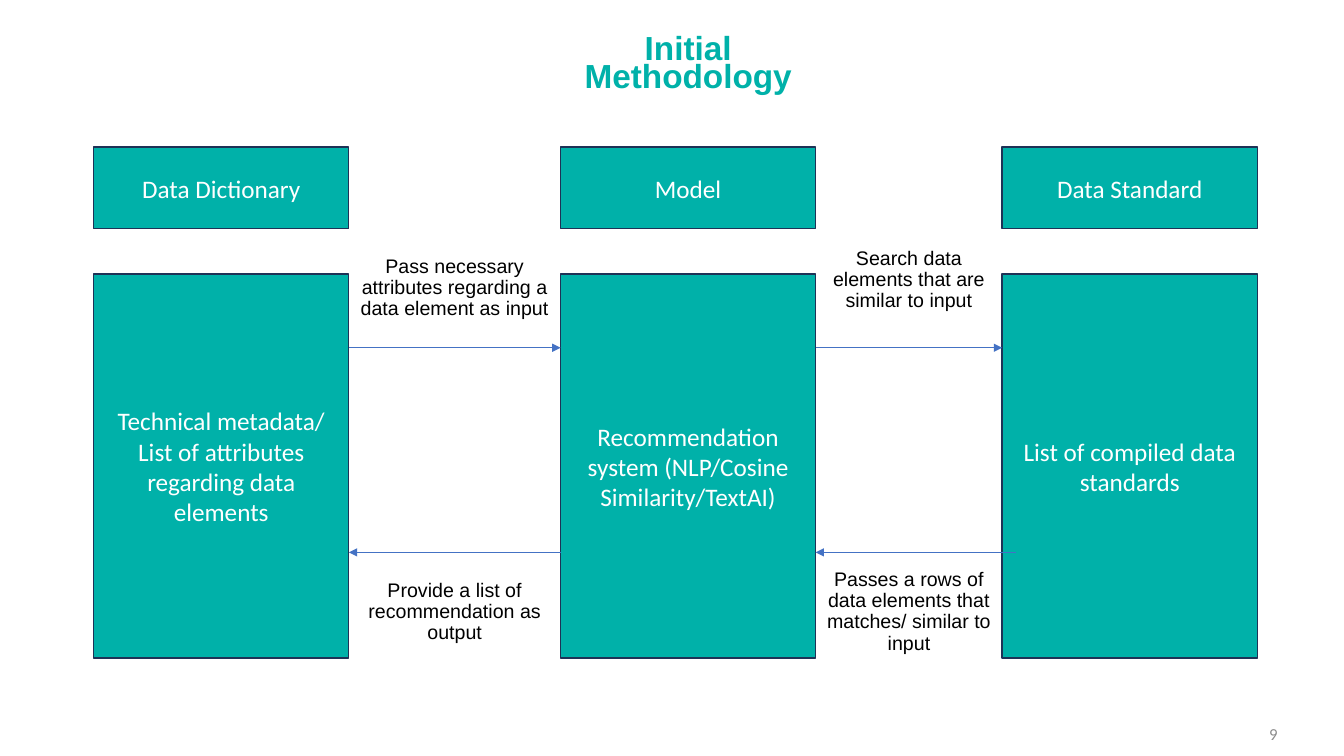
from lxml import etree
from pptx import Presentation
from pptx.dml.color import RGBColor
from pptx.enum.shapes import MSO_CONNECTOR, MSO_SHAPE
from pptx.enum.text import MSO_ANCHOR, PP_ALIGN
from pptx.oxml.ns import qn
from pptx.util import Inches, Pt

RECT = MSO_SHAPE.RECTANGLE
STRAIGHT = MSO_CONNECTOR.STRAIGHT
MIDDLE = MSO_ANCHOR.MIDDLE
CENTER, RIGHT = PP_ALIGN.CENTER, PP_ALIGN.RIGHT

COLORS = {"teal": "00B1A9", "navy": "1E3256", "blue": "4472C4",
          "white": "FFFFFF", "black": "000000", "gray": "8C8C8C"}

COL_W = 2.53
COL_X = (0.93, 5.56, 9.94)
HEAD_Y, HEAD_H = 1.46, 0.81
BODY_Y, BODY_H = 2.72, 3.81
FORWARD_Y, BACK_Y = 3.45, 5.48
LABEL_H = 1.18
OVERLAP = 0.14

COLUMNS = (
    ("Data Dictionary", "Technical metadata/ List of attributes regarding data elements"),
    ("Model", "Recommendation system (NLP/Cosine Similarity/TextAI)"),
    ("Data Standard", "List of compiled data standards"),
)

FLOWS = (
    (0, 0, 0, "Pass necessary attributes regarding a data element as input",
     FORWARD_Y - LABEL_H, "Provide a list of recommendation as output"),
    (1, 0.08, OVERLAP, "Search data elements that are similar to input",
     FORWARD_Y - LABEL_H - 0.08, "Passes a rows of data elements that matches/ similar to input"),
)


def rgb(name):
    return RGBColor.from_string(COLORS[name])


def write(s, text, size=18, font="Calibri", color="white", bold=False,
          align=CENTER, spacing=None, inset=None):
    tf = s.text_frame
    tf.word_wrap = True
    tf.vertical_anchor = MIDDLE
    if inset is not None:
        tf.margin_left = tf.margin_right = Inches(inset)
        tf.margin_top = tf.margin_bottom = Inches(inset)
    p = tf.paragraphs[0]
    p.alignment = align
    if spacing:
        p.line_spacing = spacing
    r = p.add_run()
    r.text = text
    r.font.size = Pt(size)
    r.font.name = font
    r.font.bold = bold
    r.font.color.rgb = rgb(color)


def add_text(slide, x, y, w, h, text, **fmt):
    s = slide.shapes.add_textbox(Inches(x), Inches(y), Inches(w), Inches(h))
    write(s, text, **fmt)


def add_box(slide, x, y, w, h, text):
    s = slide.shapes.add_shape(RECT, Inches(x), Inches(y), Inches(w), Inches(h))
    s.shadow.inherit = False
    s.fill.solid()
    s.fill.fore_color.rgb = rgb("teal")
    s.line.color.rgb = rgb("navy")
    s.line.width = Pt(1)
    write(s, text)


def add_arrow(slide, x1, x2, y):
    c = slide.shapes.add_connector(STRAIGHT, Inches(x1), Inches(y), Inches(x2), Inches(y))
    c.line.color.rgb = rgb("blue")
    c.line.width = Pt(0.5)
    etree.SubElement(c.line._get_or_add_ln(), qn("a:tailEnd"), type="triangle")
    etree.SubElement(c._element.spPr, qn("a:effectLst"))


def add_label(slide, x, y, w, text):
    add_text(slide, x, y, w, LABEL_H, text, size=14, font="Arial",
             color="black", spacing=0.9, inset=0)


def main():
    prs = Presentation()
    prs.slide_width, prs.slide_height = Inches(13.33), Inches(7.5)
    slide = prs.slides.add_slide(prs.slide_layouts[6])

    add_text(slide, 5.42, 0.31, 2.81, 0.7, "Initial Methodology", size=23.8,
             font="Arial", color="teal", bold=True, spacing=0.7)

    for x, (head, body) in zip(COL_X, COLUMNS):
        add_box(slide, x, BODY_Y, COL_W, BODY_H, body)
        add_box(slide, x, HEAD_Y, COL_W, HEAD_H, head)

    for col, pad, overlap, forward, label_y, back in FLOWS:
        left, right = COL_X[col] + COL_W, COL_X[col + 1]
        add_arrow(slide, left, right, FORWARD_Y)
        add_arrow(slide, right + overlap, left, BACK_Y)
        label_x, label_w = left + pad, right - left - 2 * pad
        add_label(slide, label_x, label_y, label_w, forward)
        add_label(slide, label_x, BACK_Y, label_w, back)

    add_text(slide, 12.32, 7.09, 0.45, 0.38, "9", size=12, color="gray", align=RIGHT)
    prs.save("out.pptx")


if __name__ == "__main__":
    main()
